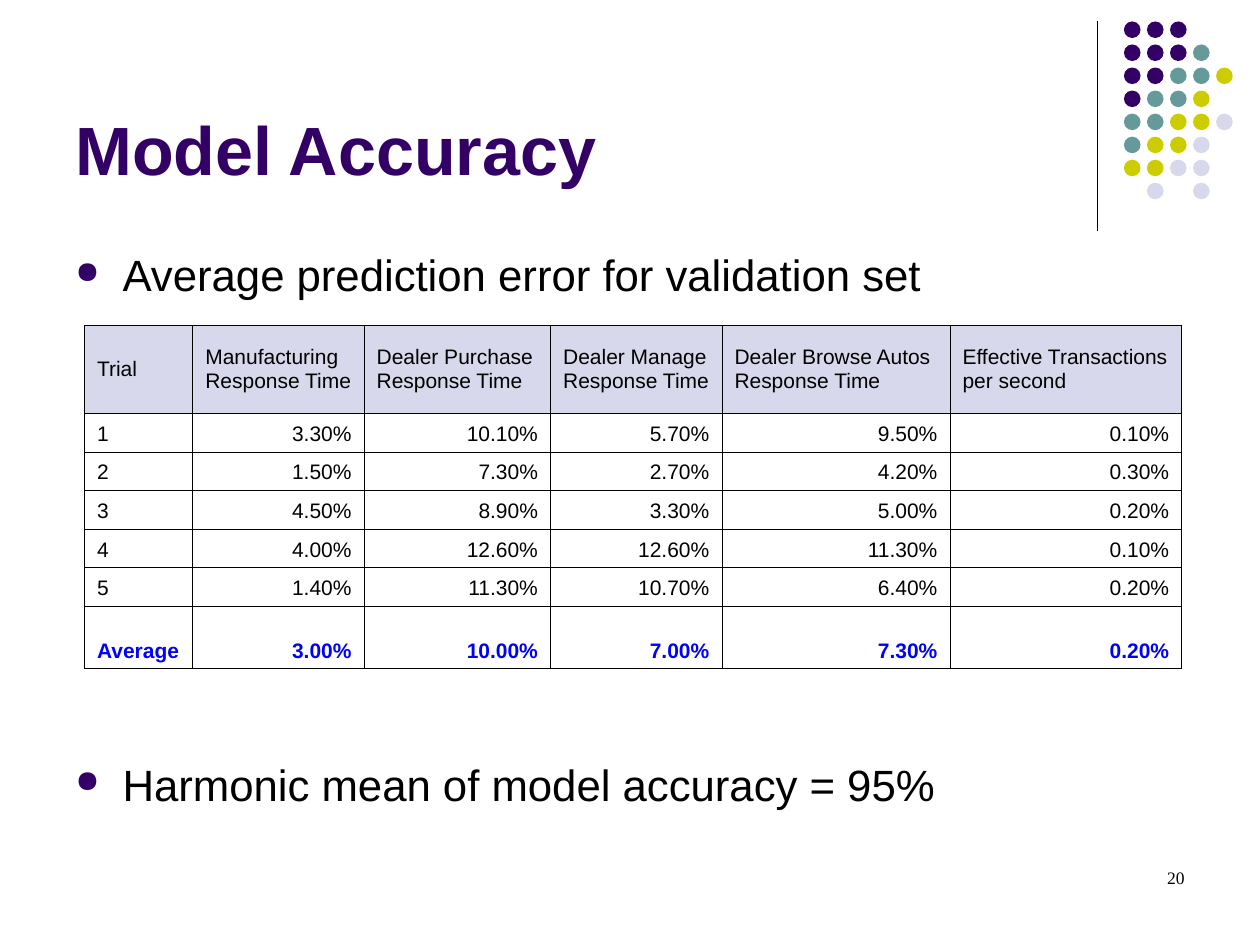
from typing import NamedTuple

from lxml import etree
from pptx import Presentation
from pptx.dml.color import RGBColor
from pptx.enum.shapes import MSO_CONNECTOR, MSO_SHAPE
from pptx.enum.text import MSO_ANCHOR, PP_ALIGN
from pptx.oxml.ns import qn
from pptx.util import Inches, Pt

TOP, MIDDLE, BOTTOM = MSO_ANCHOR.TOP, MSO_ANCHOR.MIDDLE, MSO_ANCHOR.BOTTOM
LEFT, RIGHT, JUSTIFY = PP_ALIGN.LEFT, PP_ALIGN.RIGHT, PP_ALIGN.JUSTIFY
OVAL, STRAIGHT = MSO_SHAPE.OVAL, MSO_CONNECTOR.STRAIGHT

# The slide is a grid of 100 columns by 75 rows of square units.
WIDE, HIGH = Inches(10), Inches(7.5)
UNIT = WIDE / 100

BLACK, PURPLE, TEAL, LIME, PALE, BLUE = (
    "000000", "330066", "669999", "CCCC00", "D8D8EC", "0000FF")

DOTS = ("PPP", "PPPT", "PPTTL", "PTTL", "TTLLW", "TLLW", "LLWW", " W W")
DOT_HUES = {"P": PURPLE, "T": TEAL, "L": LIME, "W": PALE}
DOT_LEFT, DOT_TOP, DOT_SIZE, DOT_STEP = 89.2, 1.7, 1.32, 12.8 / 7

COLS = (8.6, 13.6, 14.8, 13.6, 18.1, 18.4)
ROWS = (7, *[3.07] * 5, 4.95)
HEADS = ("Trial", "Manufacturing\nResponse Time", "Dealer Purchase\nResponse Time",
         "Dealer Manage\nResponse Time", "Dealer Browse Autos\nResponse Time",
         "Effective Transactions\nper second")
TRIALS = (
    ("1", "3.30%", "10.10%", "5.70%", "9.50%", "0.10%"),
    ("2", "1.50%", "7.30%", "2.70%", "4.20%", "0.30%"),
    ("3", "4.50%", "8.90%", "3.30%", "5.00%", "0.20%"),
    ("4", "4.00%", "12.60%", "12.60%", "11.30%", "0.10%"),
    ("5", "1.40%", "11.30%", "10.70%", "6.40%", "0.20%"),
)
MEANS = ("Average", "3.00%", "10.00%", "7.00%", "7.30%", "0.20%")


class Box(NamedTuple):
    left: float
    top: float
    width: float
    height: float

    def emu(self) -> list[int]:
        return [span(v) for v in self]


class Style(NamedTuple):
    size: float
    hue: str = BLACK
    bold: bool = False
    face: str = "Arial"
    align: PP_ALIGN = LEFT


def span(units: float) -> int:
    return round(units * UNIT)


def color(code: str) -> RGBColor:
    return RGBColor.from_string(code)


def write(frame, text: str, style: Style) -> None:
    """Fill a text frame, one paragraph for each line of text."""
    frame.text = text
    for para in frame.paragraphs:
        para.alignment = style.align
        font = para.font
        font.size, font.bold, font.name = Pt(style.size), style.bold, style.face
        font.color.rgb = color(style.hue)


def add_text(slide, box: Box, text: str, style: Style, anchor=TOP):
    frame = slide.shapes.add_textbox(*box.emu()).text_frame
    frame.word_wrap = True
    frame.vertical_anchor = anchor
    write(frame, text, style)
    return frame


def add_bullet(para) -> None:
    """Give a paragraph a hanging purple dot."""
    props = para._p.get_or_add_pPr()
    props.set("marL", str(span(3.75)))
    props.set("indent", str(-span(3.75)))
    hue = etree.Element(qn("a:buClr"))
    etree.SubElement(hue, qn("a:srgbClr"), val=PURPLE)
    size = etree.Element(qn("a:buSzPct"), val="70000")
    mark = etree.Element(qn("a:buChar"), char="●")
    first = props.find(qn("a:defRPr"))
    for item in (hue, size, mark):
        if first is None:
            props.append(item)
        else:
            first.addprevious(item)


def add_points(slide) -> None:
    text = ("Average prediction error for validation set\n"
            "Harmonic mean of model accuracy = 95%")
    frame = add_text(slide, Box(5, 19.2, 90, 47.8), text, Style(25))
    frame.paragraphs[1].space_before = Pt(261)
    for para in frame.paragraphs:
        add_bullet(para)


def add_rule(slide) -> None:
    line = slide.shapes.add_connector(
        STRAIGHT, span(87.1), span(1.7), span(87.1), span(18.3))
    line.line.color.rgb = color(BLACK)
    line.line.width = Pt(0.75)
    etree.SubElement(line._element.spPr, qn("a:effectLst"))


def add_dots(slide) -> None:
    group = slide.shapes.add_group_shape()
    for row, marks in enumerate(DOTS):
        for col, mark in enumerate(marks):
            if mark not in DOT_HUES:
                continue
            box = Box(DOT_LEFT + col * DOT_STEP, DOT_TOP + row * DOT_STEP,
                      DOT_SIZE, DOT_SIZE)
            dot = group.shapes.add_shape(OVAL, *box.emu())
            dot.shadow.inherit = False
            dot.fill.solid()
            dot.fill.fore_color.rgb = color(DOT_HUES[mark])
            dot.line.fill.background()


def add_edges(cell) -> None:
    """Draw thin black borders; they must come before the cell's fill."""
    props = cell._tc.get_or_add_tcPr()
    for side in ("lnL", "lnR", "lnT", "lnB"):
        edge = etree.SubElement(props, qn(f"a:{side}"), w=str(Pt(0.45)))
        fill = etree.SubElement(edge, qn("a:solidFill"))
        etree.SubElement(fill, qn("a:srgbClr"), val=BLACK)


def add_grid(slide) -> None:
    box = Box(6.7, 25.8, sum(COLS), sum(ROWS))
    table = slide.shapes.add_table(len(ROWS), len(COLS), *box.emu()).table
    table.first_row = table.horz_banding = False
    for col, width in zip(table.columns, COLS):
        col.width = span(width)
    for row, height in zip(table.rows, ROWS):
        row.height = span(height)
    for r, texts in enumerate((HEADS, *TRIALS, MEANS)):
        head, last = r == 0, r == len(ROWS) - 1
        for c, text in enumerate(texts):
            cell = table.cell(r, c)
            align = JUSTIFY if head or c == 0 else RIGHT
            write(cell.text_frame, text,
                  Style(12, BLUE if last else BLACK, last, align=align))
            cell.vertical_anchor = MIDDLE if head else BOTTOM
            add_edges(cell)
            if head:
                cell.fill.solid()
                cell.fill.fore_color.rgb = color(PALE)
            else:
                cell.fill.background()


def main() -> None:
    deck = Presentation()
    deck.slide_width, deck.slide_height = WIDE, HIGH
    slide = deck.slides.add_slide(deck.slide_layouts[6])
    add_rule(slide)
    add_dots(slide)
    add_text(slide, Box(5, 1.3, 82.5, 14.2), "Model Accuracy",
             Style(39, PURPLE, True), BOTTOM)
    add_points(slide)
    add_grid(slide)
    add_text(slide, Box(71.7, 68.3, 23.3, 5), "20",
             Style(10, face="Times New Roman", align=RIGHT))
    deck.save("out.pptx")


if __name__ == "__main__":
    main()
